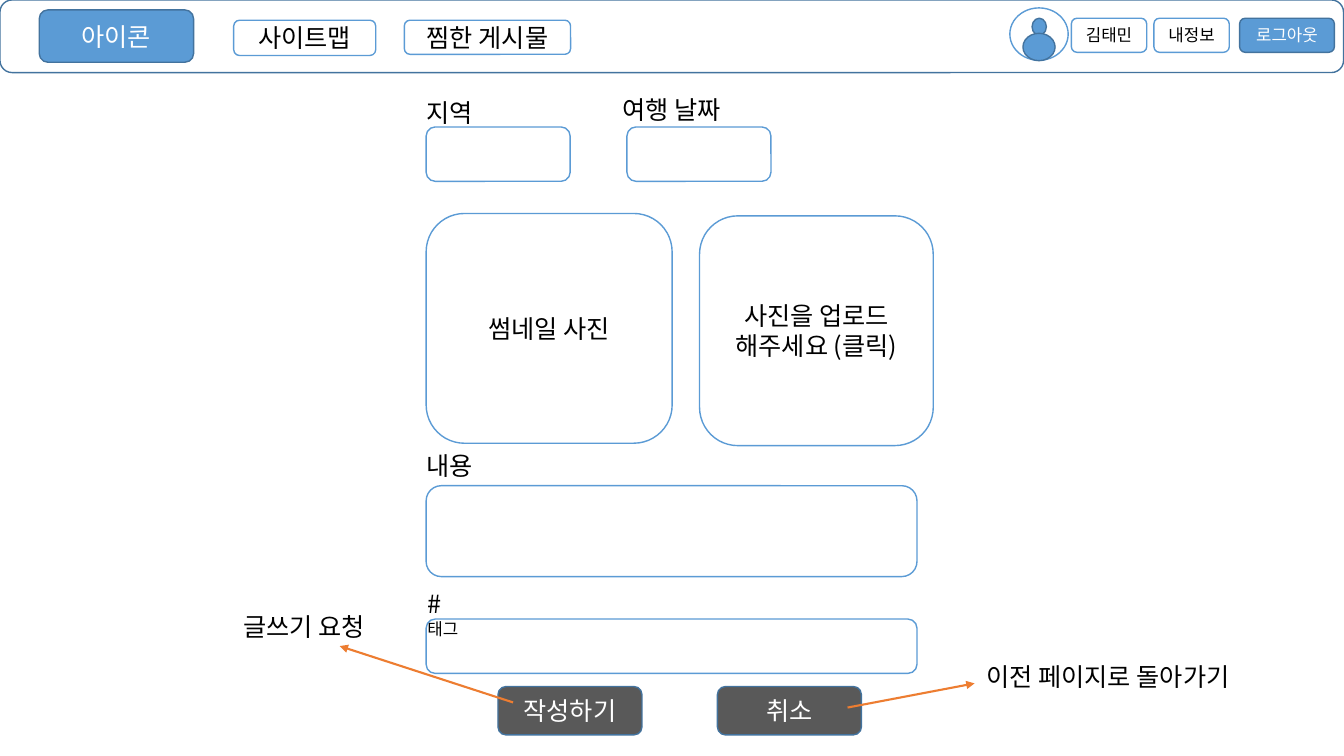
import pptx
import pptx.dml.color
import pptx.enum.shapes
import pptx.enum.text
import pptx.oxml
import pptx.oxml.ns
import pptx.util

Cm = pptx.util.Cm
Pt = pptx.util.Pt
SHAPES = pptx.enum.shapes.MSO_SHAPE
FONT = "Noto Sans CJK KR"
BLUE, NAVY, GRAY, ORANGE = "5B9BD5", "43739E", "595959", "ED7D31"
WHITE, BLACK = "FFFFFF", "000000"


def rgb(value):
    return pptx.dml.color.RGBColor.from_string(value)


def append_element(parent, tag, **attributes):
    element = pptx.oxml.parse_xml(f"<a:{tag} {pptx.oxml.ns.nsdecls('a')}/>")
    for key, value in attributes.items():
        element.set(key, value)
    parent.append(element)


def add_text(paragraph, text, size=18, color=BLACK):
    run = paragraph.add_run()
    run.text = text
    run.font.size = Pt(size)
    run.font.color.rgb = rgb(color)
    run.font.name = FONT
    append_element(run.font._element, "ea", typeface=FONT)


def add_box(slide, left, top, width, height, text="", fill=WHITE, line=BLUE,
            kind=SHAPES.ROUNDED_RECTANGLE, **text_format):
    box = slide.shapes.add_shape(kind, Cm(left), Cm(top), Cm(width), Cm(height))
    box.shadow.inherit = False
    box.fill.solid()
    box.fill.fore_color.rgb = rgb(fill)
    box.line.color.rgb = rgb(line)
    box.line.width = Pt(1)
    if text:
        frame = box.text_frame
        frame.word_wrap = True
        frame.vertical_anchor = pptx.enum.text.MSO_ANCHOR.MIDDLE
        frame.paragraphs[0].alignment = pptx.enum.text.PP_ALIGN.CENTER
        add_text(frame.paragraphs[0], text, **text_format)


def add_label(slide, left, top, width, text, wrap=False):
    label = slide.shapes.add_textbox(Cm(left), Cm(top), Cm(width), Cm(1.02))
    frame = label.text_frame
    frame.word_wrap = wrap
    frame.auto_size = pptx.enum.text.MSO_AUTO_SIZE.SHAPE_TO_FIT_TEXT
    add_text(frame.paragraphs[0], text)
    return frame.paragraphs[0]


def add_arrow(slide, start, end):
    arrow = slide.shapes.add_connector(
        pptx.enum.shapes.MSO_CONNECTOR.STRAIGHT, *map(Cm, start + end))
    arrow.line.color.rgb = rgb(ORANGE)
    arrow.line.width = Pt(1.5)
    append_element(arrow.line._get_or_add_ln(), "tailEnd", type="triangle")
    append_element(arrow._element.spPr, "effectLst")


def add_header(slide):
    add_box(slide, 0, 0, 33.86, 1.83, line=NAVY)
    add_box(slide, 0.99, 0.25, 3.89, 1.32, "아이콘", BLUE, NAVY, color=WHITE)
    add_box(slide, 5.89, 0.51, 3.58, 0.89, "사이트맵")
    add_box(slide, 10.19, 0.51, 4.19, 0.86, "찜한 게시물")
    for left, text in ((27, "김태민"), (29.08, "내정보")):
        add_box(slide, left, 0.46, 1.9, 0.86, text, size=12)
    add_box(slide, 31.24, 0.46, 2.39, 0.86, "로그아웃", BLUE, NAVY,
            size=12, color=WHITE)
    add_box(slide, 25.45, 0.2, 1.47, 1.32, kind=SHAPES.OVAL)
    add_box(slide, 26.01, 0.46, 0.36, 0.43, fill=BLUE, line=NAVY, kind=SHAPES.OVAL)
    add_box(slide, 25.78, 0.84, 0.81, 0.69, fill=BLUE, line=NAVY, kind=SHAPES.OVAL)


def add_form(slide):
    for left in (10.74, 15.8):
        add_box(slide, left, 3.2, 3.63, 1.37)
    add_label(slide, 10.49, 2.34, 1.8, "지역")
    add_label(slide, 15.44, 2.24, 3.3, "여행 날짜")
    add_box(slide, 10.74, 5.38, 6.2, 5.79, "썸네일 사진")
    add_box(slide, 17.63, 5.44, 5.89, 5.79, "사진을 업로드 해주세요 (클릭)")
    add_label(slide, 10.49, 11.23, 1.8, "내용")
    add_box(slide, 10.74, 12.24, 12.37, 2.29)
    add_box(slide, 10.74, 15.6, 12.37, 1.37)
    hashtag = add_label(slide, 10.52, 14.71, 1.5, "#", wrap=True)
    add_text(hashtag, "태그", size=12)


def add_actions(slide):
    for left, text in ((12.55, "작성하기"), (18.08, "취소")):
        add_box(slide, left, 17.3, 3.63, 1.22, text, GRAY, NAVY, color=WHITE)
    add_arrow(slide, (12.93, 17.7), (8.56, 16.28))
    add_label(slide, 5.89, 15.29, 3.94, "글쓰기 요청")
    add_arrow(slide, (21.36, 17.83), (24.56, 17.22))
    add_label(slide, 24.61, 16.54, 7.39, "이전 페이지로 돌아가기")


def main():
    deck = pptx.Presentation()
    deck.slide_width, deck.slide_height = Cm(33.87), Cm(19.05)
    slide = deck.slides.add_slide(deck.slide_layouts[6])
    add_header(slide)
    add_form(slide)
    add_actions(slide)
    deck.save("out.pptx")


if __name__ == "__main__":
    main()
